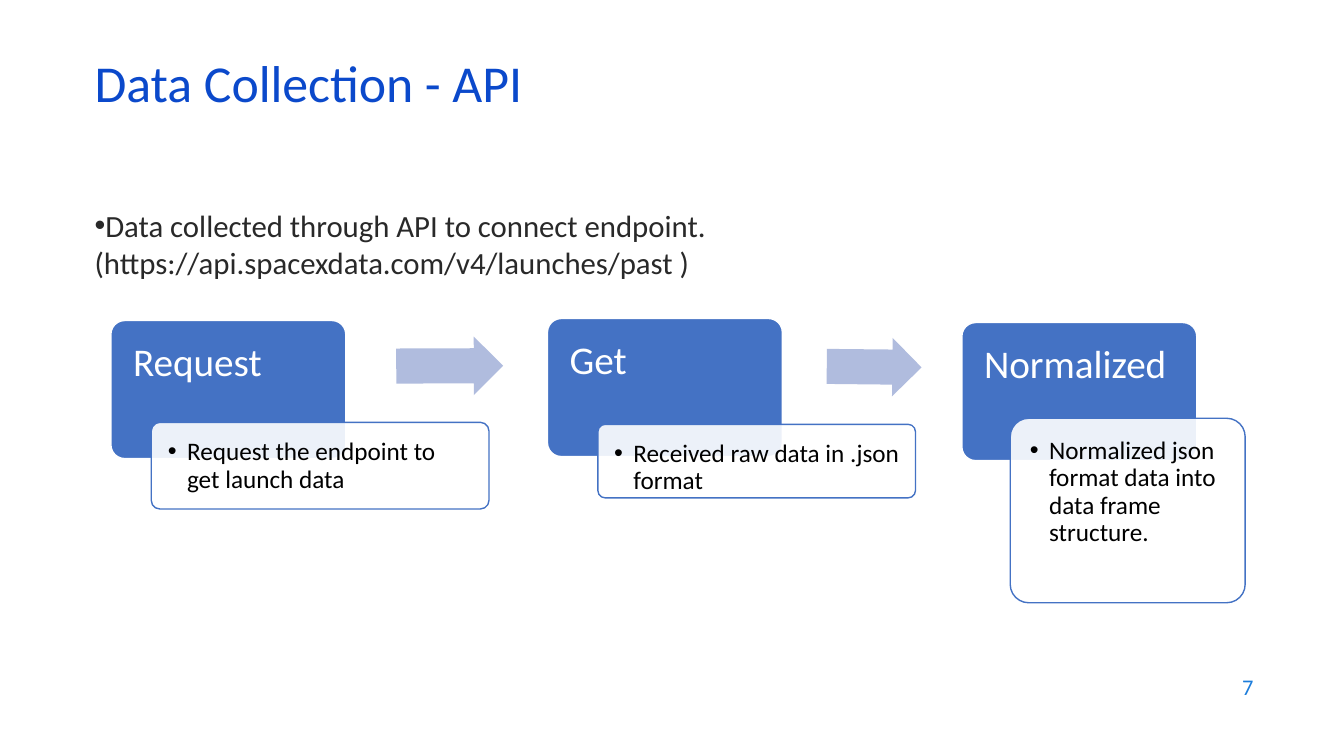
from lxml import etree
from pptx import Presentation
from pptx.dml.color import RGBColor
from pptx.enum.shapes import MSO_SHAPE as SHAPE
from pptx.enum.text import MSO_ANCHOR as ANCHOR, PP_ALIGN as ALIGN
from pptx.oxml.ns import qn
from pptx.util import Inches, Pt

WHITE = RGBColor(0xFF, 0xFF, 0xFF)
BLACK = RGBColor(0x00, 0x00, 0x00)
CARD_BLUE = RGBColor(0x44, 0x72, 0xC4)
ARROW_BLUE = RGBColor(0xB0, 0xBC, 0xDE)
TITLE_BLUE = RGBColor(0x0B, 0x49, 0xCB)
NUMBER_BLUE = RGBColor(0x1C, 0x7D, 0xDB)
BODY_GRAY = RGBColor(0x29, 0x29, 0x29)

deck = Presentation()
deck.slide_width = Inches(13.33)
deck.slide_height = Inches(7.5)
page = deck.slides.add_slide(deck.slide_layouts[6])


def add_text(text, place, size, color, insets=(0.1, 0.05, 0.1, 0.05),
             anchor=ANCHOR.TOP, spacing=1.0, align=ALIGN.LEFT, hanging=None):
    """Add a one-paragraph text box; a hanging indent in inches adds a bullet."""
    box = page.shapes.add_textbox(*map(Inches, place))
    frame = box.text_frame
    frame.word_wrap = True
    frame.vertical_anchor = anchor
    (frame.margin_left, frame.margin_top,
     frame.margin_right, frame.margin_bottom) = map(Inches, insets)
    para = frame.paragraphs[0]
    para.text = text
    para.alignment = align
    para.line_spacing = spacing
    if hanging is not None:
        props = para._p.get_or_add_pPr()
        props.set("marL", str(Inches(hanging)))
        props.set("indent", str(-Inches(hanging)))
        etree.SubElement(props, qn("a:buFont"), typeface="Arial")
        etree.SubElement(props, qn("a:buChar"), char="•")
    para.font.name = "Calibri"
    para.font.size = Pt(size)
    para.font.color.rgb = color


def add_block(kind, place, fill, line=None):
    """Add a flat shape, outlined only when a line colour is given."""
    block = page.shapes.add_shape(kind, *map(Inches, place))
    block.shadow.inherit = False
    block.fill.solid()
    block.fill.fore_color.rgb = fill
    if line is None:
        block.line.fill.background()
    else:
        block.line.color.rgb = line
        block.line.width = Pt(1)
    return block


add_text("7", (9.53, 6.59, 3, 0.44), 16, NUMBER_BLUE,
         anchor=ANCHOR.MIDDLE, align=ALIGN.RIGHT)
add_text("Data collected through API to connect endpoint. "
         "(https://api.spacexdata.com/v4/launches/past )",
         (0.84, 2, 11.5, 4.76), 22, BODY_GRAY, hanging=0)
add_text("Data Collection - API", (0.84, 0.59, 11.5, 0.6), 37, TITLE_BLUE,
         anchor=ANCHOR.MIDDLE, spacing=0.7)

# Each step: heading, card corner, detail text, detail box
steps = [
    ("Request", (1.1, 3.18),
     "Request the endpoint to get launch data", (1.5, 4.19, 3.35, 0.86)),
    ("Get", (5.43, 3.16),
     "Received raw data in .json format", (5.93, 4.21, 3.15, 0.73)),
    ("Normalized", (9.54, 3.2),
     "Normalized json format data into data frame structure.",
     (10.02, 4.15, 2.33, 1.83)),
]
for heading, corner, detail, detail_place in steps:
    card = add_block(SHAPE.ROUNDED_RECTANGLE, (*corner, 2.33, 1.37),
                     CARD_BLUE, WHITE)
    card.adjustments[0] = 0.1
    add_text(heading, (*corner, 2.33, 0.91), 28, WHITE,
             insets=(0.22, 0.22, 0.22, 0.12), spacing=0.9)

    panel = add_block(SHAPE.ROUNDED_RECTANGLE, detail_place, WHITE, CARD_BLUE)
    panel.adjustments[0] = 0.1
    fill_color = panel.fill._xPr.find(qn("a:solidFill"))[0]
    etree.SubElement(fill_color, qn("a:alpha"), val="90000")
    left, top, width, height = detail_place
    pad = 0.03 * height
    add_text(detail, (left + pad, top + pad, width - 2 * pad, height - 2 * pad),
             18, BLACK, insets=(0.14,) * 4, spacing=0.9, hanging=0.19)

for place, angle in [((3.93, 3.34, 1.06, 0.58), 359.8),
                     ((8.2, 3.35, 0.94, 0.58), 0.6)]:
    arrow = add_block(SHAPE.RIGHT_ARROW, place, ARROW_BLUE)
    arrow.adjustments[0] = 0.6
    arrow.adjustments[1] = 0.5
    arrow.rotation = angle

deck.save("out.pptx")
